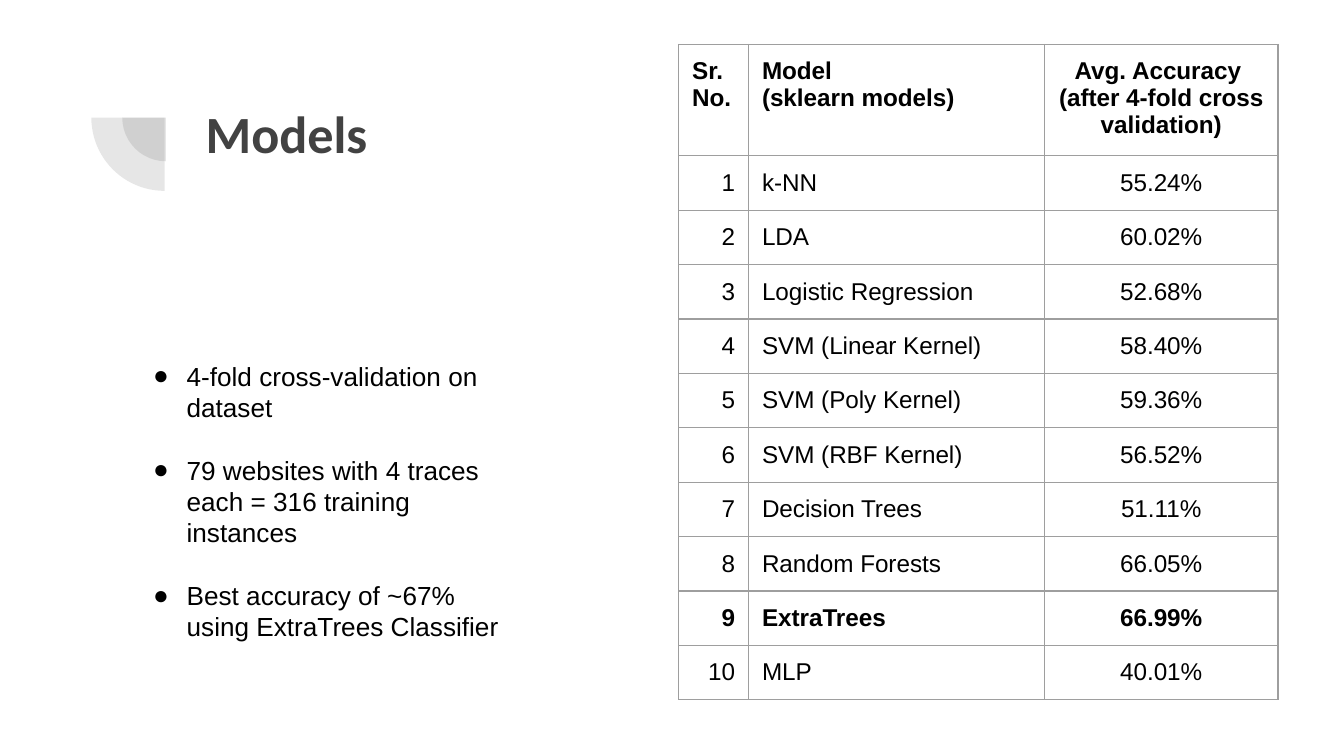
from lxml.etree import SubElement
from pptx import Presentation
from pptx.dml.color import RGBColor
from pptx.enum.shapes import MSO_SHAPE
from pptx.enum.text import MSO_ANCHOR, PP_ALIGN
from pptx.oxml import parse_xml
from pptx.oxml.ns import nsdecls, qn
from pptx.util import Inches, Pt

BLACK = RGBColor(0x00, 0x00, 0x00)
CHARCOAL = RGBColor(0x42, 0x42, 0x42)
BORDER_GRAY = RGBColor(0x9E, 0x9E, 0x9E)

HEADER = ("Sr. No.", "Model \v(sklearn models)",
          "Avg. Accuracy \v(after 4-fold cross validation)")
RESULTS = [
    ("k-NN", "55.24%"),
    ("LDA", "60.02%"),
    ("Logistic Regression", "52.68%"),
    ("SVM (Linear Kernel)", "58.40%"),
    ("SVM (Poly Kernel)", "59.36%"),
    ("SVM (RBF Kernel)", "56.52%"),
    ("Decision Trees", "51.11%"),
    ("Random Forests", "66.05%"),
    ("ExtraTrees", "66.99%"),
    ("MLP", "40.01%"),
]
BEST_MODEL = "ExtraTrees"
FINDINGS = [
    "4-fold cross-validation on dataset",
    "79 websites with 4 traces each = 316 training instances",
    "Best accuracy of ~67% using ExtraTrees Classifier",
]


class SlideBuilder:
    title_font = "Calibri"
    body_font = "Arial"
    inset = Inches(0.1)

    def __init__(self, presentation):
        self.slide = presentation.slides.add_slide(presentation.slide_layouts[5])

    def set_insets(self, target):
        target.margin_left = target.margin_right = self.inset
        target.margin_top = target.margin_bottom = self.inset

    def set_font(self, paragraph, name, size, color, bold=False):
        font = paragraph.font
        font.name, font.size, font.bold = name, Pt(size), bold
        font.color.rgb = color

    def quarter_disc(self, left, top, diameter):
        shape = self.slide.shapes.add_shape(
            MSO_SHAPE.PIE, Inches(left), Inches(top), Inches(diameter), Inches(diameter))
        shape.adjustments[0], shape.adjustments[1] = 108, 162
        shape.rotation = 270
        shape.shadow.inherit = False
        shape.line.fill.background()
        shape.fill.solid()
        shape.fill.fore_color.rgb = CHARCOAL
        color = shape.fill._xPr.find(qn("a:solidFill"))[0]
        SubElement(color, qn("a:alpha"), val="13000")

    def title(self, text, left, top, width, height):
        title = self.slide.shapes.title
        title.left, title.top = Inches(left), Inches(top)
        title.width, title.height = Inches(width), Inches(height)
        frame = title.text_frame
        frame.text = text
        frame.vertical_anchor = MSO_ANCHOR.TOP
        self.set_insets(frame)
        paragraph = frame.paragraphs[0]
        paragraph.alignment = PP_ALIGN.LEFT
        self.set_font(paragraph, self.title_font, 28, CHARCOAL, bold=True)

    def bullets(self, items, left, top, width, height):
        box = self.slide.shapes.add_textbox(
            Inches(left), Inches(top), Inches(width), Inches(height))
        frame = box.text_frame
        frame.word_wrap = True
        self.set_insets(frame)
        for index, item in enumerate(items):
            paragraph = frame.add_paragraph() if index else frame.paragraphs[0]
            paragraph.text = item
            paragraph.space_after = Pt(16.7)
            self.set_font(paragraph, self.body_font, 14, BLACK)
            properties = paragraph._p.get_or_add_pPr()
            properties.set("marL", str(Inches(0.5)))
            properties.set("indent", str(Inches(-0.25)))
            for markup in (f'<a:buFont {nsdecls("a")} typeface="{self.body_font}"/>',
                           f'<a:buChar {nsdecls("a")} char="●"/>'):
                properties.insert_element_before(
                    parse_xml(markup), "a:tabLst", "a:defRPr")

    def border_cell(self, cell):
        properties = cell._tc.get_or_add_tcPr()
        for index, side in enumerate("LRTB"):
            properties.insert(index, parse_xml(
                f'<a:ln{side} {nsdecls("a")} w="{Pt(0.75)}"><a:solidFill>'
                f'<a:srgbClr val="{BORDER_GRAY}"/></a:solidFill></a:ln{side}>'))

    def table(self, rows, bold_rows, left, top, column_widths, row_heights):
        table = self.slide.shapes.add_table(
            len(rows), len(column_widths), Inches(left), Inches(top),
            sum(column_widths), sum(row_heights)).table
        table.first_row = table.horz_banding = False
        for column, width in zip(table.columns, column_widths):
            column.width = width
        for row, height in zip(table.rows, row_heights):
            row.height = height
        for row_index, values in enumerate(rows):
            number_alignment = PP_ALIGN.RIGHT if row_index else PP_ALIGN.LEFT
            alignments = (number_alignment, PP_ALIGN.LEFT, PP_ALIGN.CENTER)
            for column_index, value in enumerate(values):
                cell = table.cell(row_index, column_index)
                cell.text = value
                cell.fill.background()
                self.set_insets(cell)
                self.border_cell(cell)
                paragraph = cell.text_frame.paragraphs[0]
                paragraph.alignment = alignments[column_index]
                self.set_font(paragraph, self.body_font, 13, BLACK,
                              bold=row_index in bold_rows)


def main():
    presentation = Presentation()
    presentation.slide_width = Inches(10)
    presentation.slide_height = Inches(10) * 9 // 16
    builder = SlideBuilder(presentation)

    builder.quarter_disc(0.91, 0.55, 0.65)
    builder.quarter_disc(0.68, 0.33, 1.09)
    builder.title("Models", 1.43, 0.65, 7.69, 1.09)

    rows = [HEADER] + [(str(number), model, accuracy)
                       for number, (model, accuracy) in enumerate(RESULTS, 1)]
    bold_rows = {index for index, row in enumerate(rows)
                 if index == 0 or row[1] == BEST_MODEL}
    column_widths = [Inches(width) for width in (0.52, 2.2, 1.74)]
    row_heights = [Inches(0.83)] + [Inches(4.05) // len(RESULTS)] * len(RESULTS)
    builder.table(rows, bold_rows, 5.05, 0.33, column_widths, row_heights)

    builder.bullets(FINDINGS, 0.79, 2.58, 3.09, 2.55)
    presentation.save("out.pptx")


if __name__ == "__main__":
    main()
